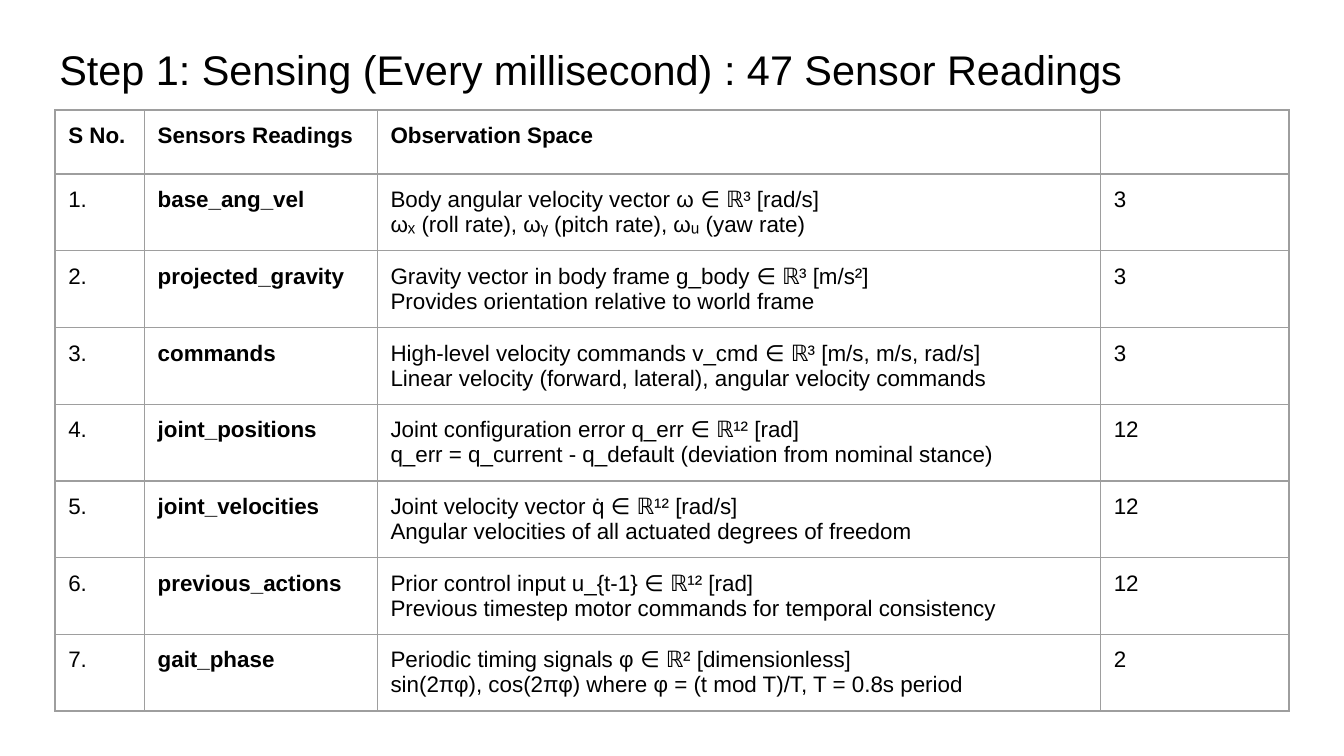
from dataclasses import dataclass

from lxml import etree
from pptx import Presentation
from pptx.dml.color import RGBColor
from pptx.enum.text import MSO_ANCHOR, MSO_AUTO_SIZE, PP_ALIGN
from pptx.oxml.ns import qn
from pptx.util import Cm, Pt

LEFT = PP_ALIGN.LEFT
MIDDLE = MSO_ANCHOR.MIDDLE
NO_AUTOFIT = MSO_AUTO_SIZE.NONE
TITLE_ONLY = 5


@dataclass(frozen=True)
class Theme:
    font: str = "Arial"
    ink: str = "000000"
    border: str = "9E9E9E"
    title_size: float = 22.2
    cell_size: float = 12
    border_width: float = 0.75


THEME = Theme()
INSET = Cm(0.25)
COLUMN_WIDTHS = (1.69, 4.4, 13.67, 3.56)
HEADER_HEIGHT = 1.21
ROW_HEIGHT = 1.45

HEADER = ("S No.", "Sensors Readings", "Observation Space", "")
SENSORS = (
    ("base_ang_vel", "Body angular velocity vector ω ∈ ℝ³ [rad/s]",
     "ωₓ (roll rate), ωᵧ (pitch rate), ωᵤ (yaw rate)", 3),
    ("projected_gravity", "Gravity vector in body frame g_body ∈ ℝ³ [m/s²]",
     "Provides orientation relative to world frame", 3),
    ("commands", "High-level velocity commands v_cmd ∈ ℝ³ [m/s, m/s, rad/s]",
     "Linear velocity (forward, lateral), angular velocity commands", 3),
    ("joint_positions", "Joint configuration error q_err ∈ ℝ¹² [rad]",
     "q_err = q_current - q_default (deviation from nominal stance)", 12),
    ("joint_velocities", "Joint velocity vector q̇ ∈ ℝ¹² [rad/s]",
     "Angular velocities of all actuated degrees of freedom", 12),
    ("previous_actions", "Prior control input u_{t-1} ∈ ℝ¹² [rad]",
     "Previous timestep motor commands for temporal consistency", 12),
    ("gait_phase", "Periodic timing signals φ ∈ ℝ² [dimensionless]",
     "sin(2πφ), cos(2πφ) where φ = (t mod T)/T, T = 0.8s period", 2),
)


def style_paragraph(para, size, bold=False):
    para.alignment = LEFT
    para.font.name = THEME.font
    para.font.size = Pt(size)
    para.font.bold = bold
    para.font.color.rgb = RGBColor.from_string(THEME.ink)


def set_margins(box):
    box.margin_left = box.margin_right = INSET
    box.margin_top = box.margin_bottom = INSET


def set_borders(cell):
    properties = cell._tc.get_or_add_tcPr()
    for side in ("lnL", "lnR", "lnT", "lnB"):
        line = etree.SubElement(properties, qn(f"a:{side}"),
                                w=str(Pt(THEME.border_width)))
        fill = etree.SubElement(line, qn("a:solidFill"))
        etree.SubElement(fill, qn("a:srgbClr"), val=THEME.border)


def fill_cell(cell, text, bold):
    set_margins(cell)
    set_borders(cell)
    cell.fill.background()
    cell.text = text
    for para in cell.text_frame.paragraphs:
        style_paragraph(para, THEME.cell_size, bold)


def add_title(slide, text):
    title = slide.shapes.title
    title.left, title.top = Cm(0.87), Cm(0.5)
    title.width, title.height = Cm(23.67), Cm(1.6)
    frame = title.text_frame
    set_margins(frame)
    frame.auto_size = NO_AUTOFIT
    frame.vertical_anchor = MIDDLE
    frame.text = text
    style_paragraph(frame.paragraphs[0], THEME.title_size)


def add_sensor_table(slide):
    rows = [HEADER] + [
        (f"{number}.", name, f"{space}\n{detail}", str(count))
        for number, (name, space, detail, count) in enumerate(SENSORS, 1)
    ]
    heights = [HEADER_HEIGHT] + [ROW_HEIGHT] * len(SENSORS)
    table = slide.shapes.add_table(
        len(rows), len(HEADER), Cm(1.04), Cm(2.08),
        Cm(sum(COLUMN_WIDTHS)), Cm(sum(heights))).table
    table.first_row = table.horz_banding = False
    for column, width in zip(table.columns, COLUMN_WIDTHS):
        column.width = Cm(width)
    for row_index, (row, height) in enumerate(zip(rows, heights)):
        table.rows[row_index].height = Cm(height)
        for column_index, text in enumerate(row):
            bold = row_index == 0 or column_index == 1
            fill_cell(table.cell(row_index, column_index), text, bold)
        if row_index:
            table.cell(row_index, 1).text_frame.paragraphs[0].space_after = Pt(12)


def main():
    deck = Presentation()
    deck.slide_width, deck.slide_height = Cm(25.4), Cm(14.29)
    slide = deck.slides.add_slide(deck.slide_layouts[TITLE_ONLY])
    add_title(slide, "Step 1: Sensing (Every millisecond) : 47 Sensor Readings")
    add_sensor_table(slide)
    deck.save("out.pptx")


if __name__ == "__main__":
    main()
